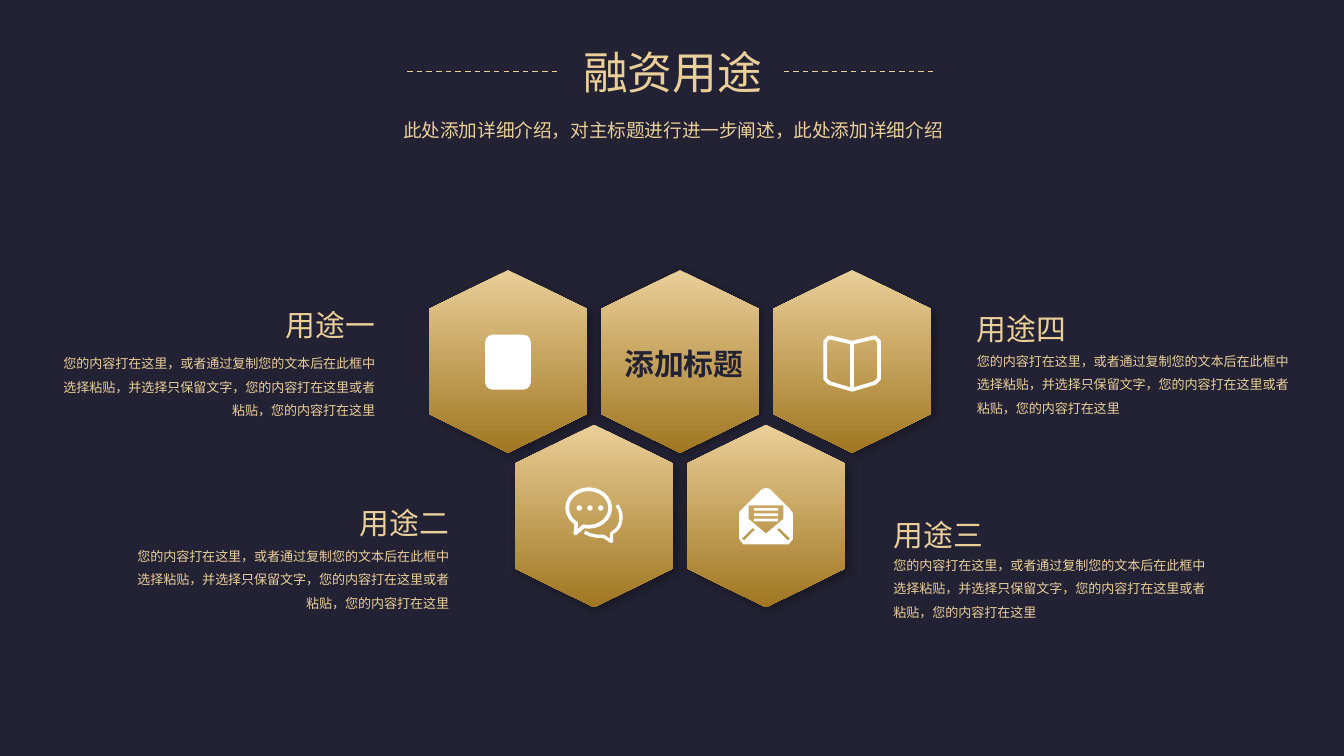
from pptx import Presentation, util as u
from pptx.dml.color import RGBColor
from pptx.enum import dml, shapes, text
from pptx.oxml.ns import qn
from lxml import etree

NAVY = RGBColor(0x23, 0x22, 0x34)
GOLD = RGBColor(0xEA, 0xCF, 0x99)
BRONZE = RGBColor(0xA0, 0x76, 0x21)
WHITE = RGBColor(0xFF, 0xFF, 0xFF)
FONT = "Noto Sans CJK SC"

TITLE = "融资用途"
SUBTITLE = "此处添加详细介绍，对主标题进行进一步阐述，此处添加详细介绍"
CENTRE_LABEL = "添加标题"
BODY = ("您的内容打在这里，或者通过复制您的文本后在此框中选择粘贴，"
        "并选择只保留文字，您的内容打在这里或者粘贴，您的内容打在这里")
LEFT, CENTER, RIGHT = text.PP_ALIGN.LEFT, text.PP_ALIGN.CENTER, text.PP_ALIGN.RIGHT
# heading, left, heading top, body top, heading width, alignment
USES = [
    ("用途三", 6.55, 3.66, 4.04, 2.68, LEFT),
    ("用途四", 7.17, 2.13, 2.52, 2.68, LEFT),
    ("用途二", 0.91, 3.57, 3.97, 2.53, RIGHT),
    ("用途一", 0.36, 2.10, 2.54, 2.53, RIGHT),
]
BODY_WIDTH = 2.53

# Honeycomb: column (half steps shift the lower row) and row of each cell
CELLS = {"chat": (0.5, 1), "book": (2, 0), "device": (0, 0),
         "mail": (1.5, 1), "label": (1, 0)}
HEX_WIDTH, HEX_HEIGHT, SHOULDER = 1.18, 1.36, 0.29
GRID_LEFT, GRID_TOP, COLUMN_STEP, ROW_STEP = 3.19, 2.01, 1.28, 1.15

# Icon outlines in hundredths of an inch from the centre of the cell
BOOK = [(-20, -15), (-17, -18), (0, -14), (17, -18), (20, -15),
        (20, 13), (17, 16), (0, 21), (-17, 16), (-20, 13)]
BOOK_SPINE = [(0, -14), (0, 21)]
REAR_BUBBLE = [(17, -8), (19, -5), (20, -1), (20, 3), (19, 7), (17, 10), (13, 13),
               (13, 19), (7, 15), (2, 15), (-3, 14), (-7, 12)]
SEAM = [(-16, 18), (-8, 10), (-10, 9), (-18, 17)]
MAIL = [
    [(-20, -3), (-3, -20), (0, -21), (3, -20), (18, -5), (20, -2),
     (20, 17), (17, 21), (-17, 21), (-20, 17)],
    [(-13, -8), (-13, 2), (0, 13), (13, 2), (13, -8)],
    *[[(-9, y), (9, y), (9, y + 2), (-9, y + 2)] for y in (-6, -2, 2)],
    SEAM,
    [(-x, y) for x, y in SEAM],
]

presentation = Presentation()
presentation.slide_width, presentation.slide_height = u.Inches(10), u.Inches(10 * 9 / 16)
slide = presentation.slides.add_slide(presentation.slide_layouts[6])
slide.background.fill.solid()
slide.background.fill.fore_color.rgb = NAVY


def add_text(content, left, top, width, height, size, align=LEFT, spacing=1.0,
             color=GOLD, bold=False):
    box = slide.shapes.add_textbox(*map(u.Inches, (left, top, width, height)))
    box.text_frame.word_wrap = True
    paragraph = box.text_frame.paragraphs[0]
    paragraph.alignment, paragraph.line_spacing = align, spacing
    run = paragraph.add_run()
    run.text = content
    run.font.size, run.font.bold, run.font.name = u.Pt(size), bold, FONT
    run.font.color.rgb = color
    east_asian = etree.SubElement(run.font._element, qn("a:ea"))
    east_asian.set("typeface", FONT)


def paint(shape, line_width=None):
    """Make a shape solid white, or only outlined when a line width is given."""
    shape.shadow.inherit = False
    if line_width:
        shape.fill.background()
        shape.line.color.rgb, shape.line.width = WHITE, u.Pt(line_width)
    else:
        shape.fill.solid()
        shape.fill.fore_color.rgb = WHITE
        shape.line.fill.background()


def outline(centre, contours, closed=True):
    """Build one freeform from contours in hundredths of an inch around a centre."""
    contours = [[tuple(u.Inches(c + d / 100) for c, d in zip(centre, point))
                 for point in contour] for contour in contours]
    first, *others = contours
    builder = slide.shapes.build_freeform(*first[0])
    builder.add_line_segments(first[1:], close=closed)
    for contour in others:
        builder.move_to(*contour[0])
        builder.add_line_segments(contour[1:], close=closed)
    return builder.convert_to_shape()


def add_preset(kind, centre, left, top, width, height):
    x, y = centre
    return slide.shapes.add_shape(kind, u.Inches(x + left / 100), u.Inches(y + top / 100),
                                  u.Inches(width / 100), u.Inches(height / 100))


def add_hexagon(centre, shadow_distance, shadow_alpha):
    half_width, half_height = HEX_WIDTH * 50, HEX_HEIGHT * 50
    side = half_height - SHOULDER * 100
    hexagon = outline(centre, [[(0, -half_height), (half_width, -side), (half_width, side),
                                (0, half_height), (-half_width, side), (-half_width, -side)]])
    hexagon.fill.gradient()
    hexagon.fill.gradient_angle = 270
    for stop, color, position in zip(hexagon.fill.gradient_stops, (GOLD, BRONZE), (0, 1)):
        stop.color.rgb, stop.position = color, position
    hexagon.line.fill.background()
    hexagon.shadow.inherit = False
    effects = hexagon._element.spPr.find(qn("a:effectLst"))
    shadow = etree.SubElement(effects, qn("a:outerShdw"), blurRad=str(u.Pt(5)),
                              dist=str(u.Pt(shadow_distance)), dir=str(45 * 60000),
                              algn="tl", rotWithShape="0")
    color = etree.SubElement(shadow, qn("a:srgbClr"), val="000000")
    etree.SubElement(color, qn("a:alpha"), val=str(shadow_alpha * 1000))


def add_device(centre):
    paint(add_preset(shapes.MSO_SHAPE.ROUNDED_RECTANGLE, centre, -17, -20, 34, 41))


def add_book(centre):
    paint(outline(centre, [BOOK]), 2)
    paint(outline(centre, [BOOK_SPINE], closed=False), 2)


def add_chat(centre):
    bubble = add_preset(shapes.MSO_SHAPE.OVAL_CALLOUT, centre, -20, -20, 32, 28)
    bubble.adjustments[0], bubble.adjustments[1] = -0.31, 0.68
    paint(bubble, 2)
    for x in (-13, -5, 3):
        paint(add_preset(shapes.MSO_SHAPE.OVAL, centre, x, -8, 4, 4))
    paint(outline(centre, [REAR_BUBBLE], closed=False), 1.75)


def add_mail(centre):
    paint(outline(centre, MAIL))


def add_label(centre):
    add_text(CENTRE_LABEL, centre[0] - 0.62, centre[1] - 0.17, 1.3, 0.37, 16,
             align=CENTER, color=NAVY, bold=True)


ICONS = {"device": add_device, "label": add_label, "book": add_book,
         "chat": add_chat, "mail": add_mail}
for name, (column, row) in CELLS.items():
    centre = (GRID_LEFT + column * COLUMN_STEP + HEX_WIDTH / 2,
              GRID_TOP + row * ROW_STEP + HEX_HEIGHT / 2)
    add_hexagon(centre, *((1, 40) if name == "label" else (3, 30)))
    ICONS[name](centre)

for heading, left, heading_top, body_top, heading_width, align in USES:
    add_text(heading, left, heading_top, heading_width, 0.46, 16, align=align, spacing=1.5)
    add_text(BODY, left, body_top, BODY_WIDTH, 0.63, 7, align=align, spacing=1.5)

add_text(TITLE, 4.23, 0.28, 1.55, 0.51, 24, align=CENTER)
add_text(SUBTITLE, 1.93, 0.8, 6.15, 0.28, 10, align=CENTER, spacing=1.2)
for start in (5.83, 3.03):
    rule = slide.shapes.add_connector(shapes.MSO_CONNECTOR.STRAIGHT, u.Inches(start),
                                      u.Inches(0.53), u.Inches(start + 1.14), u.Inches(0.53))
    rule.line.color.rgb, rule.line.width = GOLD, u.Pt(0.75)
    rule.line.dash_style = dml.MSO_LINE.DASH
    etree.SubElement(rule._element.spPr, qn("a:effectLst"))

presentation.save("out.pptx")
